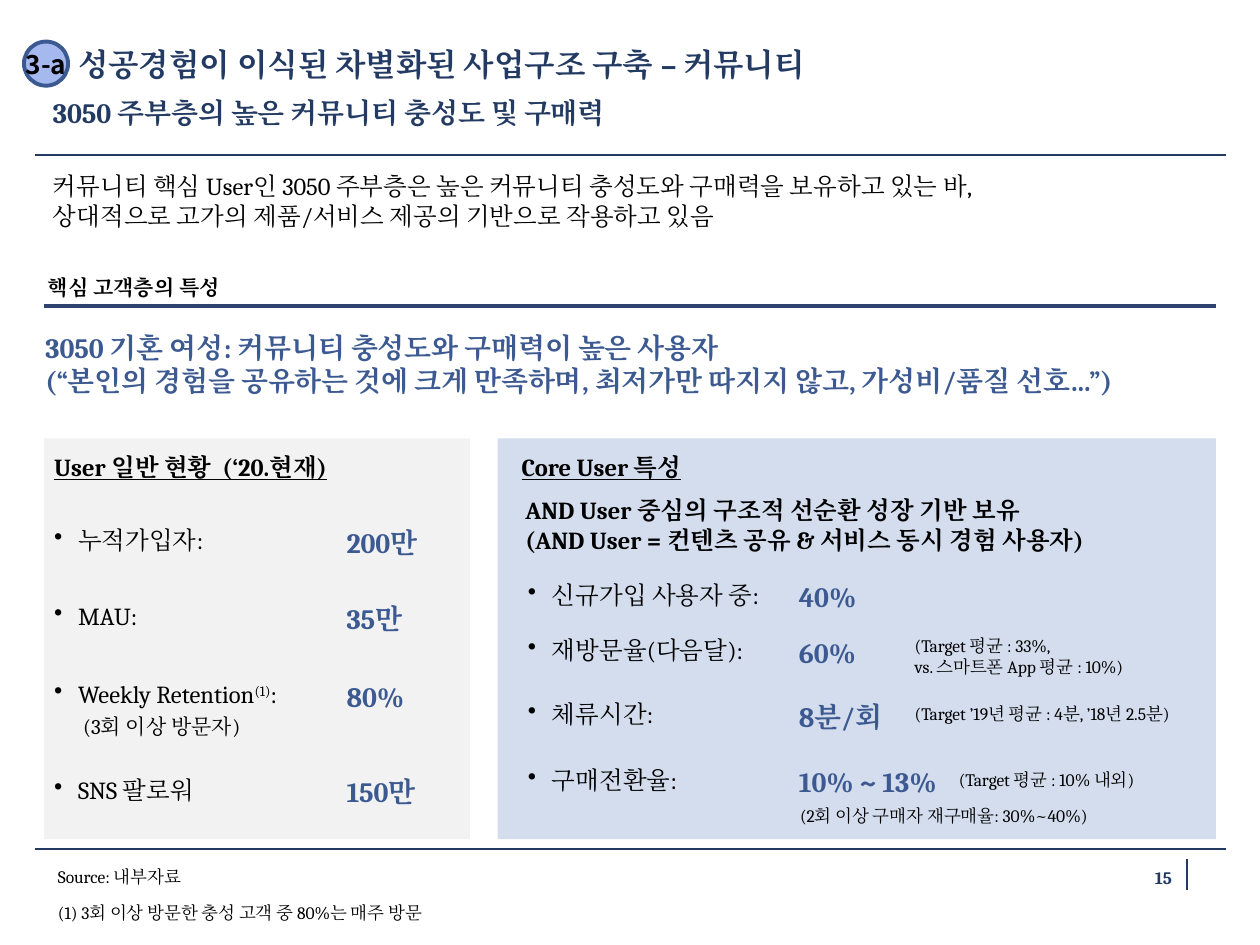
from lxml.etree import SubElement
from pptx import Presentation
from pptx.dml.color import RGBColor
from pptx.enum.shapes import MSO_CONNECTOR, MSO_SHAPE
from pptx.enum.text import MSO_ANCHOR, MSO_AUTO_SIZE, PP_ALIGN
from pptx.oxml.ns import qn
from pptx.util import Inches, Pt

COLORS = {"navy": "233A63", "rule": "2D436D", "accent": "3C5A91", "badge": "A6B9EF",
          "gray": "F2F2F2", "pale": "D4DDED", "black": "000000"}
FONT, BADGE_FONT = "Cambria", "Noto Sans CJK KR"
PADDING = (0.08, 0.04, 0.08, 0.04)
LINE_H = 0.31

TITLE = "성공경험이 이식된 차별화된 사업구조 구축 – 커뮤니티"
SUBTITLE = "3050 주부층의 높은 커뮤니티 충성도 및 구매력"
LEAD = ("커뮤니티 핵심 User인 3050 주부층은 높은 커뮤니티 충성도와 구매력을 보유하고 있는 바, \n"
        "상대적으로 고가의 제품/서비스 제공의 기반으로 작용하고 있음")
SECTION = "핵심 고객층의 특성"
MESSAGE = ("3050 기혼 여성: 커뮤니티 충성도와 구매력이 높은 사용자\n"
           "(“본인의 경험을 공유하는 것에 크게 만족하며, 최저가만 따지지 않고, 가성비/품질 선호…”)")
FOOTNOTES = ["Source: 내부자료", "(1) 3회 이상 방문한 충성 고객 중 80%는 매주 방문"]
CORE_CLAIM = ("AND User 중심의 구조적 선순환 성장 기반 보유\n"
              "(AND User = 컨텐츠 공유 & 서비스 동시 경험 사용자)")

# Panel: left, width, fill, heading, heading left
PANELS = [(0.35, 3.38, "gray", "User 일반 현황  (‘20.현재)", 0.35),
          (3.95, 5.70, "pale", "Core User 특성", 4.06)]
# Metrics: label left, value left, rows of (top, label, value); ^ encloses superscript
METRICS = [
    (0.35, 2.67, [(4.13, "누적가입자:", "200만"), (4.73, "MAU:", "35만"),
                  (5.35, "Weekly Retention^(1)^:", "80%"), (6.11, "SNS 팔로워", "150만")]),
    (4.11, 6.26, [(4.56, "신규가입 사용자 중:", "40%"), (5.0, "재방문율(다음달):", "60%"),
                  (5.51, "체류시간:", "8분/회"), (6.03, "구매전환율:", "10% ~ 13%")]),
]
# Remarks: left, top, width, text
REMARKS = [(7.18, 4.98, 2.6, "(Target 평균 : 33%,\nvs. 스마트폰 App 평균 : 10%)"),
           (7.18, 5.43, 2.6, "(Target ’19년 평균 : 4분, ’18년 2.5분)"),
           (6.27, 6.24, 3.37, "(2회 이상 구매자 재구매율: 30%~40%)"),
           (7.53, 5.96, 1.87, "(Target 평균 : 10% 내외)")]
# Rules: from x, from y, to x, to y, color, weight
RULES = [(0.28, 1.23, 9.73, 1.23, "navy", 1), (9.42, 7.06, 9.42, 6.82, "navy", 1),
         (0.28, 6.74, 9.73, 6.74, "navy", 1), (0.35, 2.43, 9.65, 2.43, "rule", 2.25)]


def rgb(name):
    return RGBColor.from_string(COLORS[name])


def add_runs(para, text, size, color, bold, underline, font):
    for i, line in enumerate(text.split("\n")):
        if i:
            para.add_line_break()
        for j, piece in enumerate(line.split("^")):
            run = para.add_run()
            run.text = piece
            run.font.size, run.font.bold, run.font.underline = Pt(size), bold, underline
            run.font.name, run.font.color.rgb = font, rgb(color)
            props = run.font._element
            SubElement(props, qn("a:ea")).set("typeface", font)
            if j % 2:
                props.set("baseline", "30000")


def write(shape, paragraphs, size, color="black", bold=False, underline=False, bullet=False,
          insets=PADDING, anchor=MSO_ANCHOR.TOP, align=PP_ALIGN.LEFT, after=6, font=FONT, wrap=True):
    frame = shape.text_frame
    frame.auto_size, frame.word_wrap, frame.vertical_anchor = MSO_AUTO_SIZE.NONE, wrap, anchor
    (frame.margin_left, frame.margin_top,
     frame.margin_right, frame.margin_bottom) = map(Inches, insets)
    for i, text in enumerate(paragraphs):
        para = frame.add_paragraph() if i else frame.paragraphs[0]
        props = para._p.get_or_add_pPr()
        indent = Inches(0.19) if bullet else 0
        props.set("marL", str(indent))
        props.set("indent", str(-indent))
        if bullet:
            SubElement(props, qn("a:buChar")).set("char", "•")
        else:
            SubElement(props, qn("a:buNone"))
        para.alignment, para.space_before, para.space_after = align, Pt(0), Pt(after)
        add_runs(para, text, size, color, bold, underline, font)


def text_box(left, top, width, height, text, size, **style):
    box = slide.shapes.add_textbox(*map(Inches, (left, top, width, height)))
    write(box, [text], size, **style)


def fill_placeholder(holder, box, paragraphs, size, **style):
    holder.left, holder.top, holder.width, holder.height = map(Inches, box)
    write(holder, paragraphs, size, **style)


def preset(kind, left, top, width, height, fill):
    shape = slide.shapes.add_shape(kind, *map(Inches, (left, top, width, height)))
    shape.shadow.inherit = False
    shape.fill.solid()
    shape.fill.fore_color.rgb = rgb(fill)
    shape.line.fill.background()
    return shape


prs = Presentation()
prs.slide_width, prs.slide_height = Inches(10), Inches(7.5)
slide = prs.slides.add_slide(prs.slide_layouts.get_by_name("Two Content"))
title, subtitle, footnotes = slide.placeholders

for *ends, color, weight in RULES:
    rule = slide.shapes.add_connector(MSO_CONNECTOR.STRAIGHT, *map(Inches, ends))
    rule.line.color.rgb, rule.line.width = rgb(color), Pt(weight)
    SubElement(rule._element.spPr, qn("a:effectLst"))

flush = {"insets": (0, 0, 0, 0), "after": 9}
fill_placeholder(title, (0.62, 0.36, 6.92, 0.36), [TITLE], 18, color="navy", bold=True,
                 insets=(0, 0, 0, 0), after=0)
fill_placeholder(subtitle, (0.42, 0.76, 7.12, 0.43), [SUBTITLE], 16, color="navy", bold=True, **flush)
fill_placeholder(footnotes, (0.46, 6.87, 6.65, 0.29), FOOTNOTES, 10, **flush)

text_box(0.42, 1.36, 9.27, 0.68, LEAD, 14, **flush)
text_box(0.38, 2.12, 8.6, LINE_H, SECTION, 12, bold=True, anchor=MSO_ANCHOR.MIDDLE, **flush)
text_box(0.36, 2.62, 9.08, 0.66, MESSAGE, 16, color="accent", bold=True, **flush)

for left, width, fill, heading, heading_left in PANELS:
    preset(MSO_SHAPE.RECTANGLE, left, 3.48, width, 3.18, fill)
    text_box(heading_left, 3.55, width - 0.2, LINE_H, heading, 14, bold=True, underline=True)

for label_left, value_left, rows in METRICS:
    for top, label, value in rows:
        text_box(label_left, top, 2.41, LINE_H, label, 14, bullet=True)
        text_box(value_left, top, 1.89, LINE_H, value, 16, color="accent", bold=True)

text_box(0.58, 5.62, 3.15, LINE_H, "(3회 이상 방문자)", 12)
text_box(4.09, 3.89, 5.27, 0.49, CORE_CLAIM, 14, bold=True)
for left, top, width, remark in REMARKS:
    text_box(left, top, width, 0.46, remark, 10, anchor=MSO_ANCHOR.MIDDLE)

text_box(8.62, 6.82, 0.78, 0.29, "15", 10, color="navy", bold=True, after=0,
         insets=(0.1, 0.05, 0.1, 0.05), anchor=MSO_ANCHOR.MIDDLE, align=PP_ALIGN.RIGHT)

badge = preset(MSO_SHAPE.OVAL, 0.19, 0.33, 0.35, 0.35, "badge")
badge.line.color.rgb, badge.line.width = rgb("accent"), Pt(2.25)
write(badge, ["3-a"], 15, bold=True, insets=(0.05, 0.1, 0.05, 0.1), anchor=MSO_ANCHOR.MIDDLE,
      align=PP_ALIGN.CENTER, after=0, font=BADGE_FONT, wrap=False)

prs.save("out.pptx")
